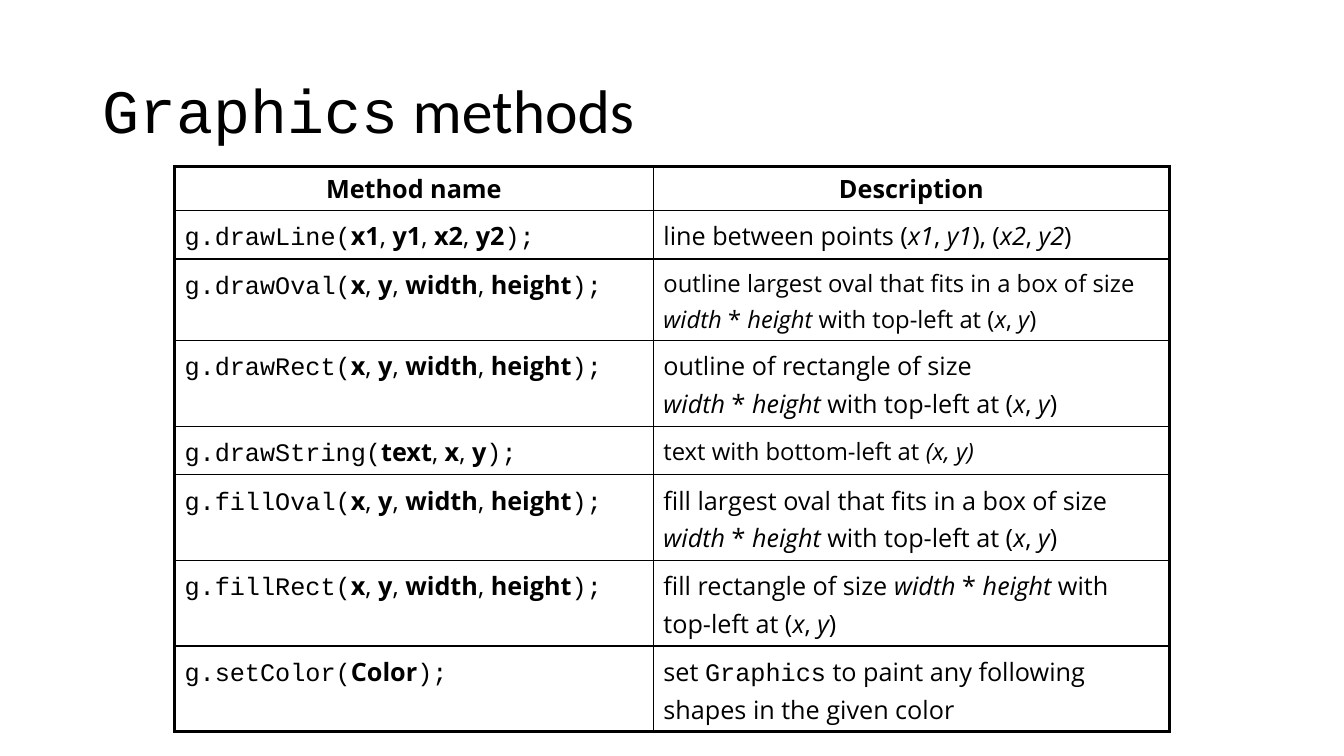
from lxml.etree import SubElement
from pptx import Presentation
from pptx.dml.color import RGBColor
from pptx.enum.text import MSO_ANCHOR, PP_ALIGN
from pptx.oxml.ns import qn
from pptx.util import Inches, Pt

TITLE = [("Graphics", "code"), (" methods", "title")]
HEADERS = ["Method name", "Description"]
# Method, parameters, description (_italic_, `code`), description size
BOX = ["x", "y", "width", "height"]
METHODS = [
    ("drawLine", ["x1", "y1", "x2", "y2"],
     "line between points (_x1_, _y1_), (_x2_, _y2_)", "body"),
    ("drawOval", BOX,
     "outline largest oval that fits in a box of size _width _* _height_"
     " with top-left at (_x_, _y_)", "small"),
    ("drawRect", BOX,
     "outline of rectangle of size\n_width_ * _height_ with top-left at (_x_, _y_)", "body"),
    ("drawString", ["text", "x", "y"], "text with bottom-left at _(x, y)_", "small"),
    ("fillOval", BOX,
     "fill largest oval that fits in a box of size _width _* _height_"
     " with top-left at (_x_, _y_)", "body"),
    ("fillRect", BOX,
     "fill rectangle of size _width_ * _height_ with top-left at (_x_, _y_)", "body"),
    ("setColor", ["Color"],
     "set `Graphics` to paint any following shapes in the given color", "body"),
]
THEME = {
    "ink": "000000",
    "fonts": {"title": "Calibri", "text": "Open Sans", "code": "Courier New"},
    "sizes": {"title": 44, "body": 18, "small": 17},
    "lines": {"outer": 2.25, "inner": 1},
}
TITLE_BOX = (0.92, 0.4, 11.5, 1.45)
TABLE_AT = (1.73, 1.65)
COL_WIDTHS = [4.75, 5.12]
ROW_HEIGHTS = [0.44, 0.48, 0.81, 0.85, 0.48, 0.85, 0.85, 0.85]


def add_run(p, text, font="text", size="body", bold=False, italic=False):
    r = p.add_run()
    r.text = text
    r.font.name = THEME["fonts"][font]
    r.font.size = Pt(THEME["sizes"][size])
    r.font.bold = bold
    r.font.italic = italic
    r.font.color.rgb = RGBColor.from_string(THEME["ink"])


def add_call(p, method, params):
    add_run(p, f"g.{method}(", "code")
    for i, param in enumerate(params):
        if i:
            add_run(p, ", ")
        add_run(p, param, bold=True)
    add_run(p, ");", "code")


def add_description(p, text, size):
    """Turn _italic_ and `code` marks and line breaks into runs."""
    for n, line in enumerate(text.split("\n")):
        if n:
            p.add_line_break()
        for i, part in enumerate(line.split("_")):
            for j, piece in enumerate(part.split("`")):
                if piece:
                    add_run(p, piece, "code" if j % 2 else "text", size, italic=i % 2 == 1)


def space_before(p, percent):
    spacing = SubElement(p._p.get_or_add_pPr(), qn("a:spcBef"))
    SubElement(spacing, qn("a:spcPct"), val=str(percent * 1000))


def set_borders(cell, outer_sides):
    tc_pr = cell._tc.get_or_add_tcPr()
    for side in "LRTB":
        width = THEME["lines"]["outer" if side in outer_sides else "inner"]
        line = SubElement(tc_pr, qn(f"a:ln{side}"), w=str(Pt(width)))
        fill = SubElement(line, qn("a:solidFill"))
        SubElement(fill, qn("a:srgbClr"), val=THEME["ink"])


def add_title(s):
    tf = s.shapes.add_textbox(*map(Inches, TITLE_BOX)).text_frame
    tf.word_wrap = True
    tf.vertical_anchor = MSO_ANCHOR.MIDDLE
    p = tf.paragraphs[0]
    p.line_spacing = 0.9
    for text, font in TITLE:
        add_run(p, text, font, "title")


def add_methods_table(s):
    rows, cols = len(ROW_HEIGHTS), len(COL_WIDTHS)
    table = s.shapes.add_table(rows, cols, *map(
        Inches, (*TABLE_AT, sum(COL_WIDTHS), sum(ROW_HEIGHTS)))).table
    table.first_row = table.horz_banding = False
    for column, width in zip(table.columns, COL_WIDTHS):
        column.width = Inches(width)
    for row, height in zip(table.rows, ROW_HEIGHTS):
        row.height = Inches(height)

    for r in range(rows):
        for c in range(cols):
            cell = table.cell(r, c)
            edges = {"L": c == 0, "R": c == cols - 1, "T": r == 0, "B": r == rows - 1}
            set_borders(cell, [side for side, outer in edges.items() if outer])
            cell.fill.background()
            p = cell.text_frame.paragraphs[0]
            if r == 0:
                p.alignment = PP_ALIGN.CENTER
                add_run(p, HEADERS[c], bold=True)
            else:
                p.line_spacing = 1.1
                method, params, description, size = METHODS[r - 1]
                if c == 0:
                    add_call(p, method, params)
                else:
                    add_description(p, description, size)
            space_before(p, 20)


def main():
    prs = Presentation()
    prs.slide_width, prs.slide_height = Inches(13.33), Inches(7.5)
    s = prs.slides.add_slide(prs.slide_layouts[6])
    add_title(s)
    add_methods_table(s)
    prs.save("out.pptx")


if __name__ == "__main__":
    main()
